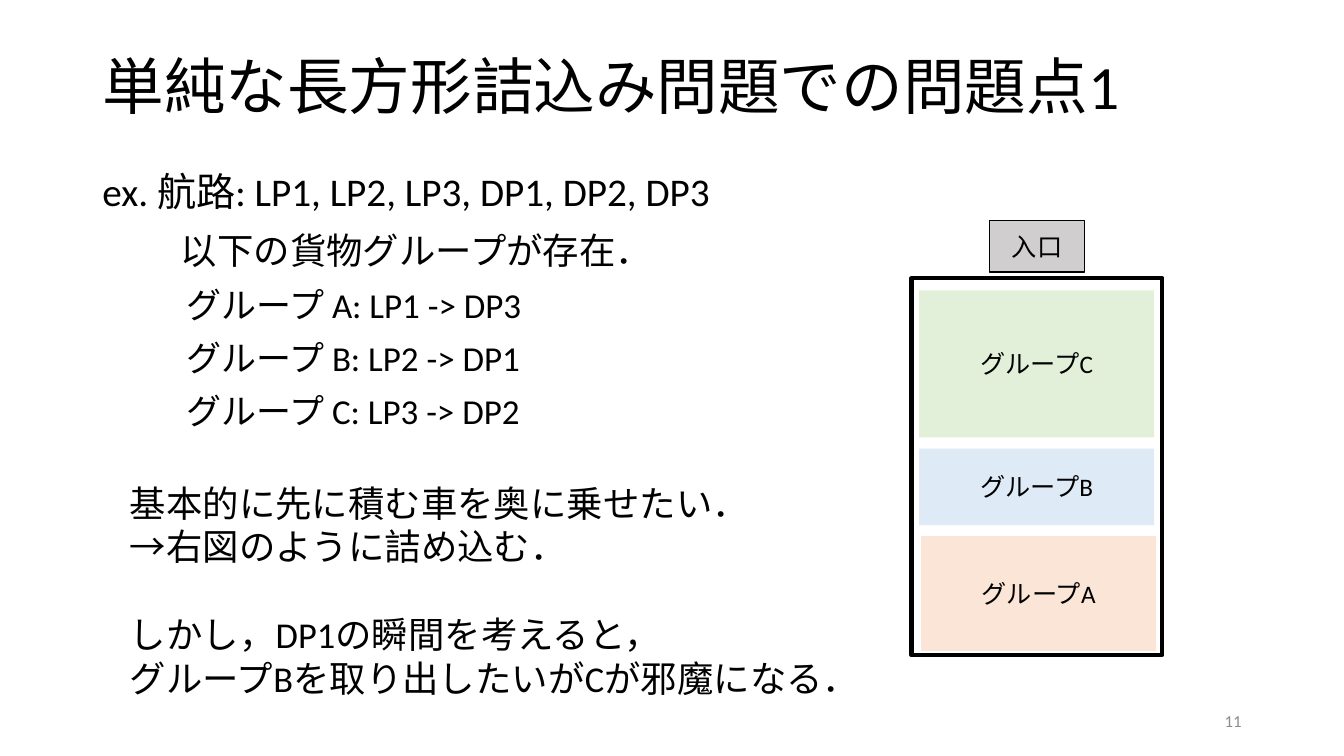
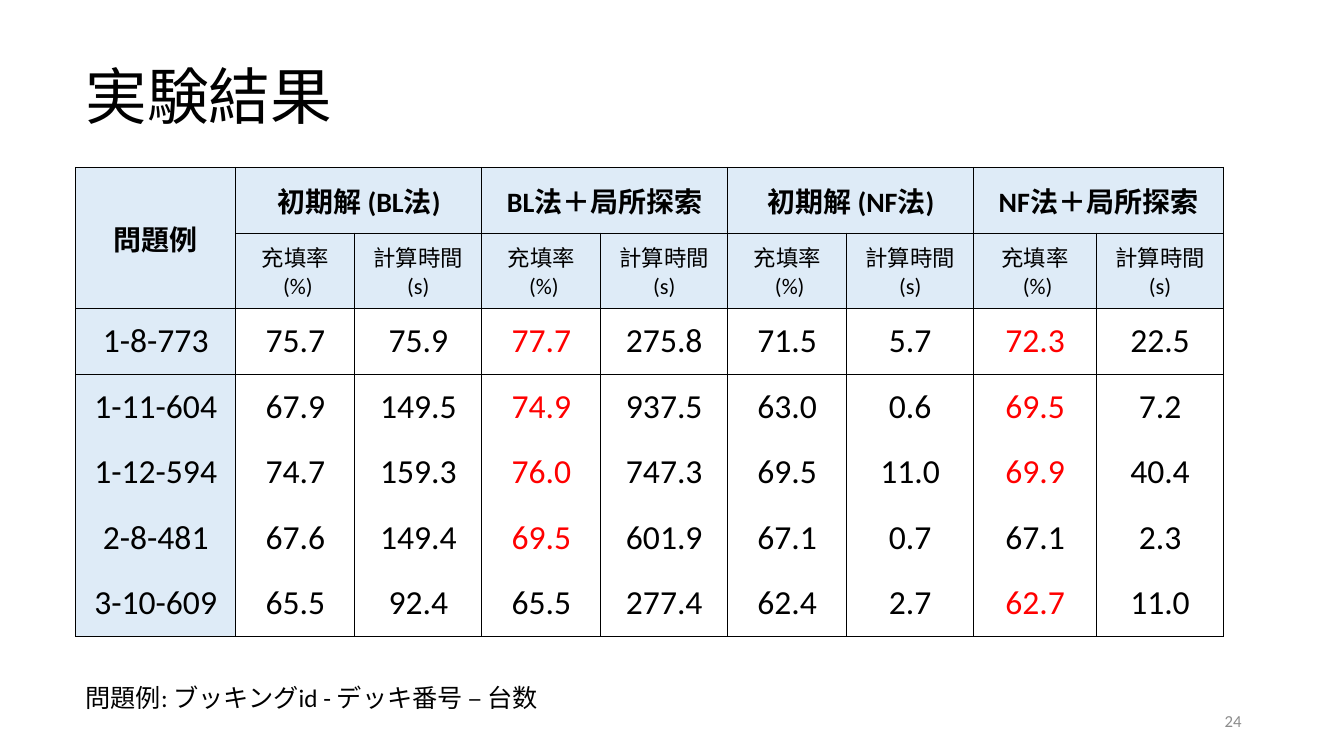
from lxml.etree import SubElement
from pptx import Presentation
from pptx.dml.color import RGBColor
from pptx.enum.shapes import MSO_SHAPE as Shape
from pptx.enum.text import MSO_ANCHOR as Anchor, PP_ALIGN as Align
from pptx.oxml.ns import qn
from pptx.util import Pt

COLORS = {
    "text": "000000", "number": "8C8C8C", "best": "FF0000", "white": "FFFFFF",
    "orange": "FBE5D6", "blue": "DEEBF7", "green": "E2F0D9", "gray": "D0CECE",
}
FONT = "Calibri"
NO_TABLE_STYLE = "{2D5ABB26-0587-4C30-8999-92F81FD0307C}"


def rgb(name):
    return RGBColor.from_string(COLORS[name])


class SlideBuilder:
    """Holds the shared style and the slide being built."""

    def __init__(self):
        self.deck = Presentation()
        self.deck.slide_width, self.deck.slide_height = Pt(960), Pt(540)
        self.page = None

    # Text
    def fill_paragraph(self, para, text, size, color="text", bold=False, **layout):
        span = para.add_run()
        span.text = text
        for name, value in {"name": FONT, "size": Pt(size), "bold": bold}.items():
            setattr(span.font, name, value)
        span.font.color.rgb = rgb(color)
        for name, value in layout.items():
            setattr(para, name, value)

    def paragraphs(self, frame, count):
        while len(frame.paragraphs) < count:
            frame.add_paragraph()
        return frame.paragraphs

    def place(self, box, area):
        for name, value in zip(("left", "top", "width", "height"), area):
            setattr(box, name, Pt(value))

    def new_page(self, title, title_area, number, layout):
        self.page = self.deck.slides.add_slide(self.deck.slide_layouts[layout])
        box = self.page.shapes.title
        self.place(box, title_area)
        box.text_frame.vertical_anchor = Anchor.MIDDLE
        self.fill_paragraph(box.text_frame.paragraphs[0], title, 44,
                            alignment=Align.LEFT, line_spacing=0.9)
        self.text((678, 500.5, 216, 28.8), [(number, 0)], 12, "number",
                  Anchor.MIDDLE, Align.RIGHT)

    def body(self, area, lines):
        """Each line is text, size, level, left margin, space before, line spacing."""
        box = self.page.placeholders[1]
        self.place(box, area)
        frame = box.text_frame
        frame.vertical_anchor = Anchor.TOP
        for para, line in zip(self.paragraphs(frame, len(lines)), lines):
            text, size, level, margin, before, spacing = line
            self.fill_paragraph(para, text, size, level=level, alignment=Align.LEFT,
                                space_before=Pt(before), line_spacing=spacing)
            properties = para._p.get_or_add_pPr()
            properties.set("marL", str(Pt(margin)))
            properties.set("indent", "0")
            SubElement(properties, qn("a:buNone"))

    def text(self, area, lines, size, color="text", anchor=Anchor.TOP, align=Align.LEFT):
        """Each line is text and space before."""
        frame = self.page.shapes.add_textbox(*map(Pt, area)).text_frame
        frame.word_wrap = True
        frame.vertical_anchor = anchor
        for para, (text, before) in zip(self.paragraphs(frame, len(lines)), lines):
            self.fill_paragraph(para, text, size, color, alignment=align,
                                space_before=Pt(before))

    # Shapes
    def rectangle(self, area, text="", fill=None, line=0):
        box = self.page.shapes.add_shape(Shape.RECTANGLE, *map(Pt, area))
        box.shadow.inherit = False
        if fill:
            box.fill.solid()
            box.fill.fore_color.rgb = rgb(fill)
        else:
            box.fill.background()
        if line:
            box.line.color.rgb = rgb("text")
            box.line.width = Pt(line)
        else:
            box.line.fill.background()
        if text:
            box.text_frame.vertical_anchor = Anchor.MIDDLE
            self.fill_paragraph(box.text_frame.paragraphs[0], text, 18,
                                alignment=Align.CENTER)

    # Tables
    def table(self, left, top, widths, heights):
        table = self.page.shapes.add_table(
            len(heights), len(widths), Pt(left), Pt(top),
            Pt(sum(widths)), Pt(sum(heights))).table
        table._tbl.tblPr.find(qn("a:tableStyleId")).text = NO_TABLE_STYLE
        for name in ("first_row", "horz_banding"):
            setattr(table, name, False)
        for column, width in zip(table.columns, widths):
            column.width = Pt(width)
        for row, height in zip(table.rows, heights):
            row.height = Pt(height)
        return table

    def cell(self, cell, text, size, fill, sides, color="text", bold=False):
        properties = cell._tc.get_or_add_tcPr()
        for side in sides:
            border = SubElement(properties, qn(f"a:ln{side}"), w=str(Pt(1)))
            paint = SubElement(border, qn("a:solidFill"))
            SubElement(paint, qn("a:srgbClr"), val=COLORS["text"])
        cell.fill.solid()
        cell.fill.fore_color.rgb = rgb(fill)
        cell.vertical_anchor = Anchor.MIDDLE
        lines = text.split("\n") if text else []
        for para, line in zip(self.paragraphs(cell.text_frame, len(lines)), lines):
            self.fill_paragraph(para, line, size, color, bold, alignment=Align.CENTER)


def packing_page(builder):
    builder.new_page("単純な長方形詰込み問題での問題点1", (66, 29, 828, 70), "11", 1)

    # Route and cargo groups
    groups = ["グループ A: LP1 -> DP3", "グループ B: LP2 -> DP1", "グループ C: LP3 -> DP2"]
    builder.body((66, 116, 549, 204.5), [
        ("ex. 航路: LP1, LP2, LP3, DP1, DP2, DP3", 28, 0, 0, 10, 1.0),
        ("以下の貨物グループが存在．", 26, 0, 56, 10, 1.0),
        *[(group, 25, 1, 60, 5, 1.1) for group in groups],
    ])

    # Explanation
    builder.text((85.7, 340, 549, 165), [
        ("基本的に先に積む車を奥に乗せたい．", 0),
        ("→右図のように詰め込む．", 0),
        ("しかし，DP1の瞬間を考えると，", 31.5),
        ("グループBを取り出したいがCが邪魔になる．", 0),
    ], 26)

    # Deck with the loaded groups
    builder.rectangle((651, 198.7, 179.3, 269.3), line=3)
    for name, fill, left, top, height in (
            ("A", "orange", 658, 383, 82),
            ("B", "blue", 656.6, 320.4, 54.7),
            ("C", "green", 656.6, 207.4, 105)):
        builder.rectangle((left, top, 167.8, height), f"グループ{name}", fill)
    builder.rectangle((707, 157.7, 67.7, 36.7), "入口", "gray", 1)


def results_page(builder):
    builder.new_page("実験結果", (54, 27.4, 828, 87.8), "24", 5)
    methods = ["初期解 (BL法)", "BL法＋局所探索", "初期解 (NF法)", "NF法＋局所探索"]
    results = [
        ("1-8-773", 75.7, 75.9, 77.7, 275.8, 71.5, 5.7, 72.3, 22.5),
        ("1-11-604", 67.9, 149.5, 74.9, 937.5, 63.0, 0.6, 69.5, 7.2),
        ("1-12-594", 74.7, 159.3, 76.0, 747.3, 69.5, 11.0, 69.9, 40.4),
        ("2-8-481", 67.6, 149.4, 69.5, 601.9, 67.1, 0.7, 67.1, 2.3),
        ("3-10-609", 65.5, 92.4, 65.5, 277.4, 62.4, 2.7, 62.7, 11.0),
    ]
    heading = ["問題例"]
    for method in methods:
        heading += [method, ""]
    rows = [heading, [""] + ["充填率\n (%)", "計算時間(s)"] * len(methods), *results]
    last = len(rows) - 1

    # Grid and merged headings
    table = builder.table(54, 119.7, [114.5] + [85, 90.7] * 3 + [87.8, 90.7],
                          [46.8, 54] + [46.8] * len(results))
    table.cell(0, 0).merge(table.cell(1, 0))
    for col in range(1, len(heading), 2):
        table.cell(0, col).merge(table.cell(0, col + 1))

    # Cells: borders frame each method, red marks a rate raised by local search
    for row, values in enumerate(rows):
        for col, value in enumerate(values):
            cell = table.cell(row, col)
            edges = {
                "L": col == 0 or col % 2 == 1,
                "R": col % 2 == 0 or cell.is_merge_origin,
                "T": row in (0, 2) or (row == 1 and col > 0),
                "B": row in (0, 1, last),
            }
            sides = [side for side, drawn in edges.items() if drawn]
            better = row > 1 and col in (3, 7) and value > values[col - 2]
            builder.cell(cell, str(value), (20, 16)[row] if row < 2 else 24,
                         "blue" if row < 2 or col == 0 else "white", sides,
                         "best" if better else "text", bold=row == 0)

    # Key to the instance names
    builder.text((54, 483.8, 352, 28.8),
                 [("問題例: ブッキングid - デッキ番号 – 台数", 0)], 18)


def main():
    builder = SlideBuilder()
    packing_page(builder)
    results_page(builder)
    builder.deck.save("out.pptx")


if __name__ == "__main__":
    main()
